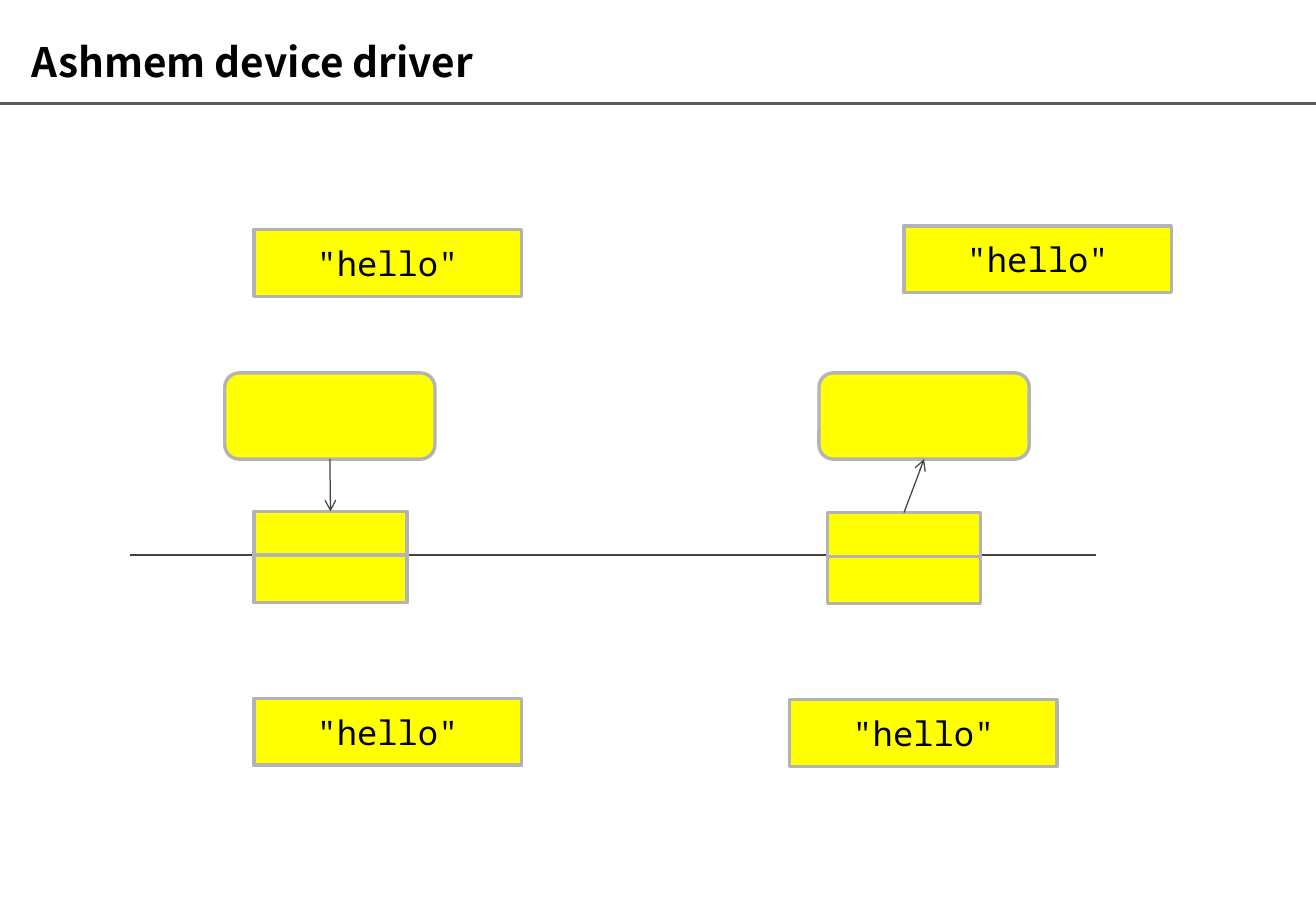
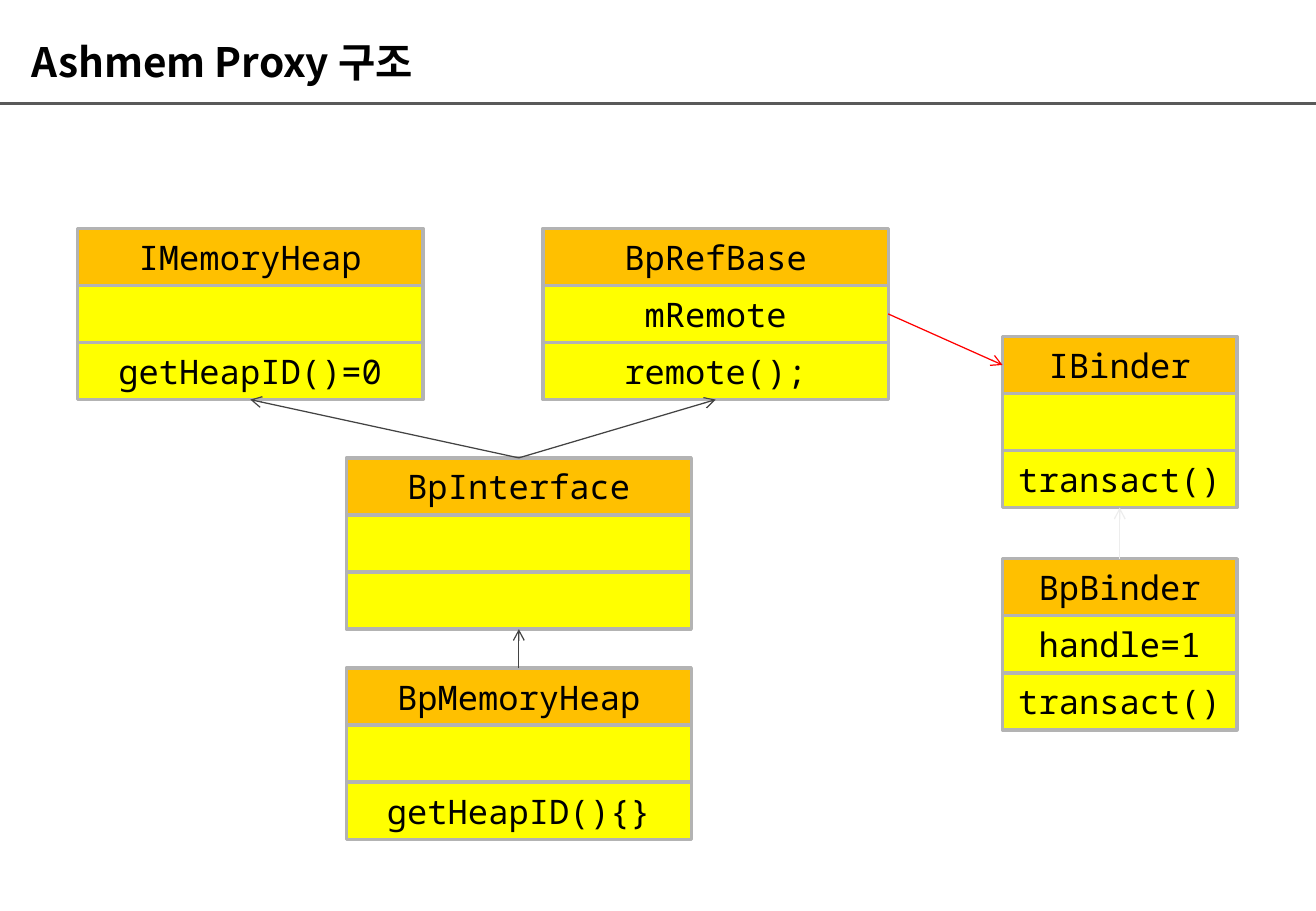
from dataclasses import dataclass

import pptx
import pptx.dml.color
import pptx.enum.shapes
import pptx.enum.text
import pptx.oxml.ns
import pptx.slide
import pptx.util
from lxml import etree
from pptx.shapes.autoshape import Shape
from pptx.shapes.connector import Connector
from pptx.util import Inches

COLORS = {
    "text": "000000",
    "title_rule": "595959",
    "border": "B3B3B3",
    "header": "FFC000",
    "body": "FFFF00",
    "arrow": "434343",
    "reference": "FF0000",
    "faint": "EDEDED",
}
TITLE_FONT = "Noto Sans CJK KR"
CODE_FONT = "Noto Sans Mono"
SLIDE_W, SLIDE_H = 10.83, 7.5
ROW_H = 0.47
# Connection sites of rectangles
TOP, LEFT, BOTTOM, RIGHT = range(4)
RECT = pptx.enum.shapes.MSO_SHAPE.RECTANGLE
ROUNDED = pptx.enum.shapes.MSO_SHAPE.ROUNDED_RECTANGLE


@dataclass
class ClassBox:
    left: float
    top: float
    width: float
    name: str
    fields: str = ""
    methods: str = ""


@dataclass
class Process:
    """One process: its own memory, its ashmem mapping and its string copies."""
    memory_left: float
    mapping_left: float
    mapping_top: float
    upper_hello: tuple[float, float]
    lower_hello: tuple[float, float]
    writes: bool


PROCESSES = [
    Process(1.85, 2.09, 4.21, (2.09, 1.89), (2.09, 5.75), writes=True),
    Process(6.74, 6.81, 4.22, (7.44, 1.86), (6.5, 5.76), writes=False),
]
CLASSES = [
    ClassBox(8.25, 4.6, 1.93, "BpBinder", "handle=1", "transact()"),
    ClassBox(8.25, 2.77, 1.93, "IBinder", methods="transact()"),
    ClassBox(2.85, 5.5, 2.84, "BpMemoryHeap", methods="getHeapID(){}"),
    ClassBox(2.85, 3.77, 2.84, "BpInterface"),
    ClassBox(0.64, 1.88, 2.84, "IMemoryHeap", methods="getHeapID()=0"),
    ClassBox(4.47, 1.88, 2.84, "BpRefBase", "mRemote", "remote();"),
]
# Subclass, base class, arrow colour
INHERITANCE = [
    ("BpBinder", "IBinder", "faint"),
    ("BpInterface", "IMemoryHeap", "arrow"),
    ("BpInterface", "BpRefBase", "arrow"),
    ("BpMemoryHeap", "BpInterface", "arrow"),
]


def rgb(color: str) -> pptx.dml.color.RGBColor:
    return pptx.dml.color.RGBColor.from_string(COLORS[color])


def write(shape: Shape, text: str, *, size: float = 20, font: str = CODE_FONT,
          bold: bool = False, centered: bool = True) -> None:
    frame = shape.text_frame
    frame.word_wrap = True
    frame.vertical_anchor = pptx.enum.text.MSO_ANCHOR.MIDDLE
    paragraph = frame.paragraphs[0]
    align = pptx.enum.text.PP_ALIGN
    paragraph.alignment = align.CENTER if centered else align.LEFT
    run = paragraph.add_run()
    run.text = text
    run.font.size = pptx.util.Pt(size)
    run.font.bold = bold
    run.font.name = font
    run.font.color.rgb = rgb("text")
    # Hangul takes the East Asian font
    east_asian = etree.SubElement(run._r.get_or_add_rPr(), pptx.oxml.ns.qn("a:ea"))
    east_asian.set("typeface", font)


def add_box(slide: pptx.slide.Slide, left: float, top: float, width: float, height: float,
            text: str = "", *, fill: str = "body",
            kind: pptx.enum.shapes.MSO_SHAPE = RECT) -> Shape:
    box = slide.shapes.add_shape(kind, Inches(left), Inches(top), Inches(width), Inches(height))
    box.shadow.inherit = False
    box.fill.solid()
    box.fill.fore_color.rgb = rgb(fill)
    box.line.color.rgb = rgb("border")
    box.line.width = pptx.util.Pt(2)
    if text:
        write(box, text)
    return box


def add_line(slide: pptx.slide.Slide, left: float, right: float, y: float,
             color: str = "arrow", width: float = 0.75) -> Connector:
    line = slide.shapes.add_connector(pptx.enum.shapes.MSO_CONNECTOR.STRAIGHT,
                                      Inches(left), Inches(y), Inches(right), Inches(y))
    line.line.color.rgb = rgb(color)
    line.line.width = pptx.util.Pt(width)
    etree.SubElement(line._element.spPr, pptx.oxml.ns.qn("a:effectLst"))
    return line


def add_arrow(slide: pptx.slide.Slide, source: Shape, source_site: int,
              target: Shape, target_site: int, color: str = "arrow") -> None:
    arrow = add_line(slide, 0, 1, 0, color)
    arrow.begin_connect(source, source_site)
    arrow.end_connect(target, target_site)
    head = etree.SubElement(arrow.line._get_or_add_ln(), pptx.oxml.ns.qn("a:tailEnd"))
    head.set("type", "arrow")


def add_slide(deck: pptx.presentation.Presentation, title: str) -> pptx.slide.Slide:
    slide = deck.slides.add_slide(deck.slide_layouts[6])
    add_line(slide, 0, SLIDE_W, 0.85, "title_rule", 1.5)
    heading = slide.shapes.add_textbox(Inches(0.16), Inches(0.16), Inches(10.51), Inches(0.69))
    write(heading, title, size=24, font=TITLE_FONT, bold=True, centered=False)
    return slide


def add_process(slide: pptx.slide.Slide, process: Process) -> None:
    memory = add_box(slide, process.memory_left, 3.07, 1.73, 0.71, kind=ROUNDED)
    # The mapping straddles the user/kernel boundary
    user_half, _ = [
        add_box(slide, process.mapping_left, process.mapping_top + half * 0.36, 1.26, 0.39)
        for half in range(2)
    ]
    for left, top in (process.upper_hello, process.lower_hello):
        add_box(slide, left, top, 2.2, 0.55, '"hello"')
    if process.writes:
        add_arrow(slide, memory, BOTTOM, user_half, TOP)
    else:
        add_arrow(slide, user_half, TOP, memory, BOTTOM)


def add_class(slide: pptx.slide.Slide, item: ClassBox) -> list[Shape]:
    rows = (item.name, item.fields, item.methods)
    return [
        add_box(slide, item.left, item.top + i * ROW_H, item.width, ROW_H, text,
                fill="body" if i else "header")
        for i, text in enumerate(rows)
    ]


def main() -> None:
    deck = pptx.Presentation()
    deck.slide_width, deck.slide_height = Inches(SLIDE_W), Inches(SLIDE_H)

    # Device driver: two processes sharing a mapping
    driver = add_slide(deck, "Ashmem device driver")
    add_line(driver, 1.07, 9.02, 4.57)
    for process in PROCESSES:
        add_process(driver, process)

    # Proxy structure: class diagram
    proxy = add_slide(deck, "Ashmem Proxy 구조")
    rows = {item.name: add_class(proxy, item) for item in CLASSES}
    for subclass, base, color in INHERITANCE:
        add_arrow(proxy, rows[subclass][0], TOP, rows[base][-1], BOTTOM, color)
    add_arrow(proxy, rows["BpRefBase"][1], RIGHT, rows["IBinder"][0], LEFT, "reference")

    deck.save("out.pptx")


if __name__ == "__main__":
    main()
